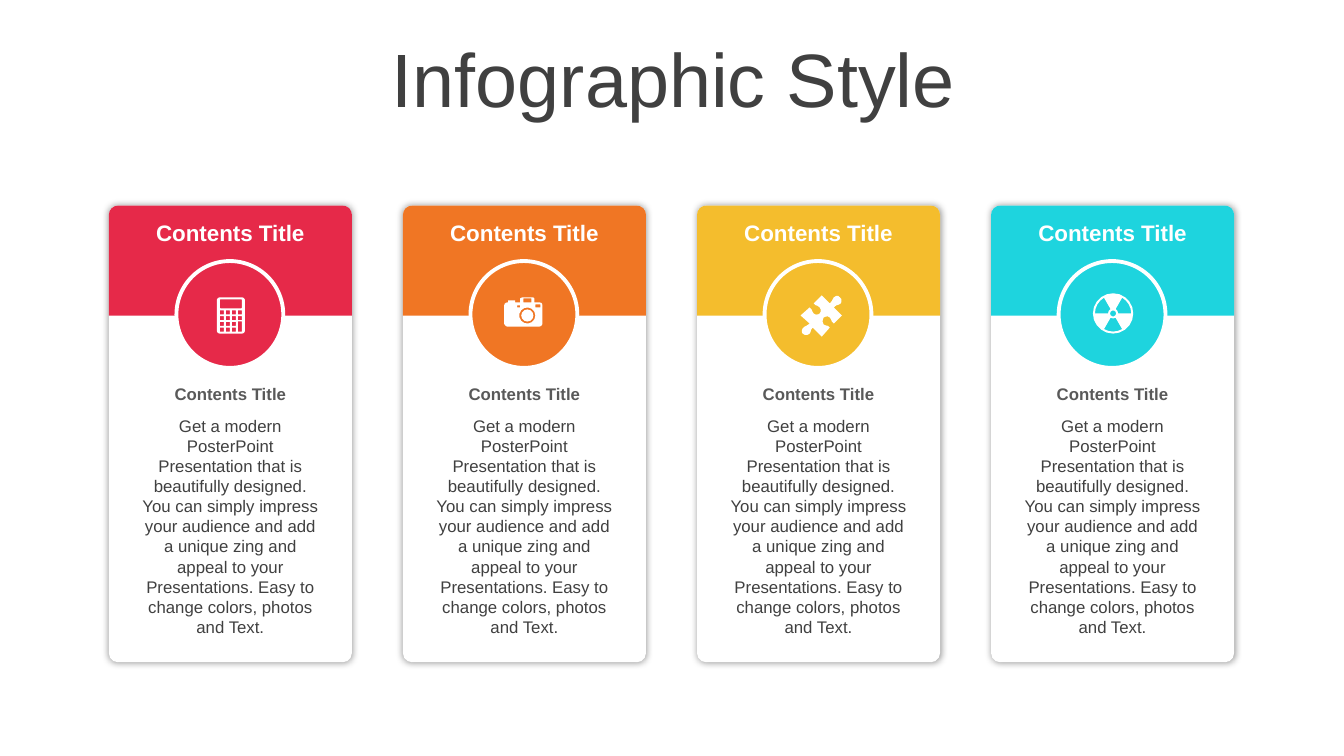
import math
from dataclasses import dataclass
from typing import Any

import lxml.etree
import pptx
import pptx.dml.color
import pptx.enum.shapes
import pptx.enum.text
import pptx.oxml.ns
import pptx.shapes.autoshape
import pptx.shapes.shapetree
import pptx.util

Inches = pptx.util.Inches
RGBColor = pptx.dml.color.RGBColor
Shape = pptx.shapes.autoshape.Shape
Tree = pptx.shapes.shapetree.SlideShapes
Kind = pptx.enum.shapes.MSO_SHAPE
Anchor = pptx.enum.text.MSO_ANCHOR
Fit = pptx.enum.text.MSO_AUTO_SIZE
qn = pptx.oxml.ns.qn
Loop = list[tuple[float, float]]

WHITE = RGBColor(0xFF, 0xFF, 0xFF)
BLACK = RGBColor(0x00, 0x00, 0x00)
DARK = RGBColor(0x40, 0x40, 0x40)
GRAY = RGBColor(0x59, 0x59, 0x59)
RED = RGBColor(0xE6, 0x29, 0x49)
ORANGE = RGBColor(0xF0, 0x76, 0x24)
YELLOW = RGBColor(0xF4, 0xBD, 0x2D)
CYAN = RGBColor(0x1E, 0xD4, 0xDE)

LEFT, TOP, WIDE, TALL = 1.08, 2.04, 2.41, 4.53
STEP = 8.75 / 3
HEAD = 1.09
BEND = 0.09
TITLE = "Contents Title"
STORY = (
    "Get a modern PosterPoint Presentation that is beautifully designed. "
    "You can simply impress your audience and add a unique zing and appeal "
    "to your Presentations. Easy to change colors, photos and Text."
)


@dataclass(frozen=True)
class Card:
    hue: RGBColor
    icon: list[Loop]


@dataclass(frozen=True)
class Label:
    text: str
    top: float
    tall: float
    size: int
    bold: bool
    hue: RGBColor
    side: float


LABELS = (
    Label(STORY, 4.07, 2.32, 12, False, DARK, 0.1),
    Label(TITLE, 3.76, 0.3, 12, True, GRAY, 0.12),
    Label(TITLE, 2.12, 0.37, 16, True, WHITE, 0.12),
)


def arc(x: float, y: float, r: float, start: int = 0, stop: int = 360) -> Loop:
    if not r:
        return [(x, y)]
    count = math.ceil(abs(stop - start) / 360 * (8 + 60 * r))
    turns = [math.radians(start + (stop - start) * i / count) for i in range(count + 1)]
    return [(x + r * math.cos(t), y + r * math.sin(t)) for t in turns]


def slab(x: float, y: float, w: float, h: float, r: float = 0, low: float = 0) -> Loop:
    return (
        arc(x + r, y + r, r, 180, 270)
        + arc(x + w - r, y + r, r, 270, 360)
        + arc(x + w - low, y + h - low, low, 0, 90)
        + arc(x + low, y + h - low, low, 90, 180)
    )


def wedge(x: float, y: float, start: int) -> Loop:
    return arc(x, y, 0.18, start, start + 60) + arc(x, y, 0.05, start + 60, start)


def trace(start: tuple[float, float], *legs: tuple[float, ...]) -> Loop:
    loop = [start]
    for leg in legs:
        if len(leg) == 2:
            loop.append((leg[0], leg[1]))
            continue
        x, y = loop[-1]
        a, b, c, d, e, f = leg
        for i in range(1, 4):
            t = i / 3
            u = 1 - t
            k = (u**3, 3 * u * u * t, 3 * u * t * t, t**3)
            loop.append((
                k[0] * x + k[1] * a + k[2] * c + k[3] * e,
                k[0] * y + k[1] * b + k[2] * d + k[3] * f,
            ))
    return loop


def sums() -> list[Loop]:
    keys = [
        slab(2.18 + 0.06 * col, 3.08 + 0.17 / 3 * row, 0.04, 0.04)
        for row in range(4) for col in range(4) if col < 3 or row < 2
    ]
    return [
        slab(2.15, 2.95, 0.28, 0.36, 0.03, 0.03),
        slab(2.18, 2.97, 0.22, 0.09, 0.01, 0.01),
        slab(2.36, 3.19, 0.04, 0.1),
        *keys,
    ]


def photo() -> list[Loop]:
    body = trace(
        (5.18, 2.95), (5.29, 2.95), (5.3, 2.96), (5.3, 3), (5.35, 3),
        (5.37, 3, 5.38, 3.01, 5.38, 3.03), (5.38, 3.21),
        (5.38, 3.22, 5.37, 3.24, 5.35, 3.24), (5.03, 3.24),
        (5.02, 3.24, 5, 3.22, 5, 3.21), (5, 3.03),
        (5, 3.01, 5.02, 3, 5.03, 3), (5.04, 3), (5.04, 2.98),
        (5.11, 2.98), (5.11, 3), (5.16, 3), (5.16, 2.96),
    )
    return [
        body,
        arc(5.23, 3.13, 0.08),
        arc(5.23, 3.13, 0.06),
        slab(5.13, 3.03, 0.03, 0.02),
        slab(5.31, 3.02, 0.05, 0.03),
        slab(5.19, 2.96, 0.08, 0.04),
    ]


def jigsaw() -> list[Loop]:
    return [trace(
        (8.33, 2.95), (8.35, 2.96, 8.35, 2.99, 8.34, 3.01),
        (8.32, 3.03, 8.29, 3.02, 8.27, 3.05), (8.35, 3.13), (8.27, 3.21),
        (8.24, 3.19, 8.25, 3.17, 8.23, 3.15), (8.21, 3.13, 8.19, 3.14, 8.17, 3.15),
        (8.16, 3.17, 8.15, 3.19, 8.17, 3.22), (8.2, 3.24, 8.21, 3.22, 8.23, 3.25),
        (8.15, 3.34), (8.06, 3.25), (8.03, 3.28, 8.05, 3.29, 8.03, 3.31),
        (8.01, 3.33, 7.98, 3.33, 7.96, 3.31), (7.95, 3.3, 7.95, 3.27, 7.96, 3.26),
        (7.98, 3.23, 8, 3.24, 8.03, 3.21), (7.94, 3.13), (8.03, 3.05),
        (8.06, 3.07, 8.05, 3.09, 8.07, 3.11), (8.09, 3.13, 8.12, 3.12, 8.13, 3.11),
        (8.14, 3.1, 8.15, 3.07, 8.13, 3.05), (8.1, 3.02, 8.09, 3.04, 8.07, 3.01),
        (8.15, 2.93), (8.23, 3.01), (8.26, 2.98, 8.25, 2.98, 8.27, 2.95),
        (8.29, 2.93, 8.32, 2.93, 8.33, 2.95),
    )]


def atom() -> list[Loop]:
    x, y = 11.04, 3.11
    fans = [wedge(x, y, start) for start in (60, 180, 300)]
    return [arc(x, y, 0.2), arc(x, y, 0.03), *fans]


def paint(shape: Shape, hue: RGBColor) -> Shape:
    shape.shadow.inherit = False
    shape.fill.solid()
    shape.fill.fore_color.rgb = hue
    shape.line.fill.background()
    return shape


def carve(tree: Tree, loops: list[Loop], hue: RGBColor) -> Shape:
    paths = [[(Inches(x), Inches(y)) for x, y in loop] for loop in loops]
    pen = tree.build_freeform(*paths[0][0])
    for i, path in enumerate(paths):
        if i:
            pen.move_to(*path[0])
        pen.add_line_segments(path[1:], close=True)
    return paint(pen.convert_to_shape(), hue)


def glow(shape: Shape) -> None:
    group = shape._element.spPr.find(qn("a:effectLst"))
    shade = lxml.etree.SubElement(group, qn("a:outerShdw"), blurRad="63500", dist="0", algn="ctr")
    tone = lxml.etree.SubElement(shade, qn("a:srgbClr"), val=str(BLACK))
    lxml.etree.SubElement(tone, qn("a:alpha"), val="40000")


def write(tree: Tree, label: Label, left: float, wide: float, **frame: Any) -> None:
    box = tree.add_textbox(Inches(left), Inches(label.top), Inches(wide), Inches(label.tall))
    text = box.text_frame
    side = Inches(label.side)
    form = {"word_wrap": True, "margin_left": side, "margin_right": side, **frame}
    for name, value in form.items():
        setattr(text, name, value)
    para = text.paragraphs[0]
    para.alignment = pptx.enum.text.PP_ALIGN.CENTER
    run = para.add_run()
    run.text = label.text
    style = {"name": "Arial", "size": pptx.util.Pt(label.size), "bold": label.bold}
    for name, value in style.items():
        setattr(run.font, name, value)
    run.font.color.rgb = label.hue


def draw(tree: Tree, card: Card, left: float) -> None:
    spot = [Inches(n) for n in (left, TOP, WIDE, TALL)]
    base = tree.add_shape(Kind.ROUNDED_RECTANGLE, *spot)
    base.adjustments[0] = BEND / WIDE
    glow(paint(base, WHITE))
    carve(tree, [slab(left, TOP, WIDE, HEAD, BEND)], card.hue)
    spot = [Inches(n) for n in (left + 0.67, 2.59, 1.06, 1.06)]
    badge = paint(tree.add_shape(Kind.OVAL, *spot), card.hue)
    badge.line.color.rgb = WHITE
    badge.line.width = pptx.util.Pt(2.75)
    for label in LABELS:
        write(tree, label, left + 0.22, 1.97, auto_size=Fit.SHAPE_TO_FIT_TEXT)
    carve(tree, card.icon, WHITE)


def main() -> None:
    deck = pptx.Presentation()
    deck.slide_width, deck.slide_height = Inches(13.33), Inches(7.5)
    tree = deck.slides.add_slide(deck.slide_layouts[6]).shapes
    head = Label("Infographic Style", 0.37, 0.79, 54, False, DARK, 0.1)
    write(tree, head, 0.35, 12.66, vertical_anchor=Anchor.MIDDLE)
    cards = (Card(RED, sums()), Card(ORANGE, photo()), Card(YELLOW, jigsaw()), Card(CYAN, atom()))
    for i, card in enumerate(cards):
        draw(tree, card, LEFT + STEP * i)
    deck.save("out.pptx")


if __name__ == "__main__":
    main()
